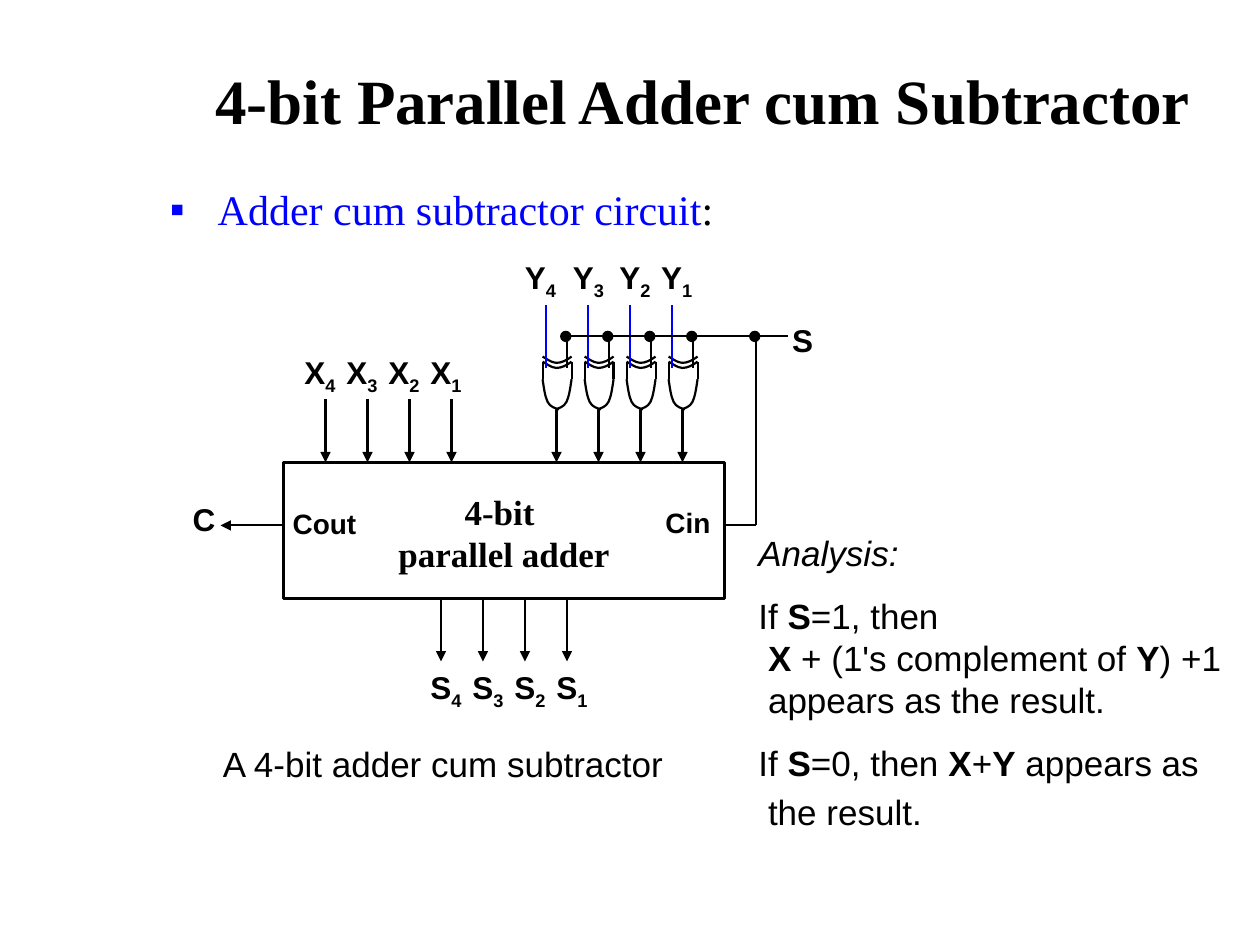
from lxml import etree
from pptx import Presentation
from pptx.dml.color import RGBColor
from pptx.enum.shapes import MSO_CONNECTOR, MSO_SHAPE
from pptx.enum.text import MSO_ANCHOR, PP_ALIGN
from pptx.oxml.ns import qn
from pptx.util import Inches, Pt

LINE = MSO_CONNECTOR.STRAIGHT
RECT, OVAL = MSO_SHAPE.RECTANGLE, MSO_SHAPE.OVAL
LEFT, CENTER = PP_ALIGN.LEFT, PP_ALIGN.CENTER
TOP, MIDDLE = MSO_ANCHOR.TOP, MSO_ANCHOR.MIDDLE
SERIF, SANS = "Times New Roman", "Arial"
COLORS = {"ink": "000000", "blue": "0000FF"}
STEP = 1 / 3  # gap between neighbouring bits
BITS = (4, 3, 2, 1)


def color(name):
    return RGBColor.from_string(COLORS[name])


def add_box(slide, left, top, width, height, anchor=TOP):
    frame = slide.shapes.add_textbox(
        Inches(left), Inches(top), Inches(width), Inches(height)).text_frame
    frame.word_wrap = True
    frame.vertical_anchor = anchor
    return frame


def style(para, size, face=SANS, bold=None, align=LEFT):
    para.alignment = align
    font = para.font
    font.size, font.name, font.bold = Pt(size), face, bold
    font.color.rgb = color("ink")


def add_text(slide, text, left, top, width, height, size,
             face=SANS, bold=None, align=LEFT, anchor=TOP):
    frame = add_box(slide, left, top, width, height, anchor)
    frame.text = text
    for para in frame.paragraphs:
        style(para, size, face, bold, align)


def add_bit(slide, name, bit, left, top, width=0.58):
    """Signal name with its bit number as a subscript."""
    para = add_box(slide, left, top, width, 0.4).paragraphs[0]
    style(para, 18, bold=True, align=CENTER)
    para.add_run().text = name
    sub = para.add_run()
    sub.text = str(bit)
    sub._r.get_or_add_rPr().set("baseline", "-25000")


def add_line(slide, x1, y1, x2, y2, ink="ink", arrow=False):
    wire = slide.shapes.add_connector(
        LINE, Inches(x1), Inches(y1), Inches(x2), Inches(y2))
    wire.line.width = Pt(1.25)
    wire.line.color.rgb = color(ink)
    if arrow:
        etree.SubElement(wire.line._get_or_add_ln(), qn("a:tailEnd"), type="triangle")
    etree.SubElement(wire._element.spPr, qn("a:effectLst"))


def add_shape(slide, kind, left, top, width, height, weight, fill=None):
    shape = slide.shapes.add_shape(
        kind, Inches(left), Inches(top), Inches(width), Inches(height))
    shape.shadow.inherit = False
    shape.line.color.rgb = color("ink")
    shape.line.width = Pt(weight)
    if fill:
        shape.fill.solid()
        shape.fill.fore_color.rgb = color(fill)
    else:
        shape.fill.background()


def bend(curve):
    """Turn each three line segments into one cubic curve."""
    legs = list(curve._element.iter(qn("a:lnTo")))
    outline = legs[0].getparent()
    for k in range(0, len(legs), 3):
        cubic = etree.SubElement(outline, qn("a:cubicBezTo"))
        for leg in legs[k:k + 3]:
            cubic.append(leg[0])
            outline.remove(leg)


def add_curve(slide, x, y, points):
    """Open line through joined cubic curves, with points relative to x, y."""
    nodes = [(Inches(x + dx), Inches(y + dy)) for dx, dy in points]
    build = slide.shapes.build_freeform(*nodes[0])
    build.add_line_segments(nodes[1:], close=False)
    curve = build.convert_to_shape()
    bend(curve)
    curve.shadow.inherit = False
    curve.fill.background()
    curve.line.color.rgb = color("ink")
    curve.line.width = Pt(1.25)


def add_gate(slide, x):
    """XOR gate centred on x."""
    arc = [(0.12, 0), (0.08, 0.03), (0.04, 0.05), (0, 0.05),
           (-0.04, 0.05), (-0.09, 0.01), (-0.11, 0)]
    flank = [(0.12, 0), (0.11, 0.07), (0.1, 0.14), (0.08, 0.18),
             (0.06, 0.22), (0.02, 0.23), (-0.01, 0.24)]
    for y in (2.87, 2.83):
        add_curve(slide, x, y, arc)
    for side in (0.12, -0.11):
        add_line(slide, x + side, 2.87, x + side, 3.01)
    add_curve(slide, x, 3.01, flank)
    add_curve(slide, x, 3.01, [(0.01 - dx, dy) for dx, dy in flank])


def add_dot(slide, x):
    add_shape(slide, OVAL, x - 0.05, 2.63, 0.08, 0.08, 0.75, "ink")


def add_bullet(slide):
    para = add_box(slide, 1.25, 1.41, 8.5, 0.58).paragraphs[0]
    style(para, 24, SERIF)
    head = para.add_run()
    head.text = "Adder cum subtractor circuit"
    head.font.color.rgb = color("blue")
    para.add_run().text = ":"
    props = para._p.get_or_add_pPr()
    props.set("marL", str(Inches(0.38)))
    props.set("indent", str(-Inches(0.38)))
    mark = etree.Element(qn("a:buClr"))
    etree.SubElement(mark, qn("a:srgbClr"), val=COLORS["blue"])
    props.insert(0, mark)
    props.insert(1, etree.Element(qn("a:buFont"), typeface=SANS))
    props.insert(2, etree.Element(qn("a:buChar"), char="▪"))


def add_notes(slide):
    """Analysis text; asterisks switch bold on and off."""
    rows = [("Analysis:", 0), ("If *S*=1, then", 12),
            ("* X *+ (1's complement of *Y*) +1", 0),
            (" appears as the result.", 0),
            ("If *S*=0, then *X*+*Y* appears as", 12), (" the result.", 4)]
    frame = add_box(slide, 5.92, 4.17, 3.92, 2.58)
    for k, (row, gap) in enumerate(rows):
        para = frame.add_paragraph() if k else frame.paragraphs[0]
        style(para, 20)
        para.font.italic = k == 0
        para.space_before = Pt(gap)
        for j, part in enumerate(row.split("*")):
            if part:
                run = para.add_run()
                run.text = part
                if j % 2:
                    run.font.bold = True


def add_adder(slide):
    add_shape(slide, RECT, 2.25, 3.67, 3.5, 1.08, 1.5)
    add_text(slide, "4-bit \nparallel adder", 2.75, 3.84, 2.5, 0.77, 20,
             SERIF, True, CENTER)
    for text, left, top, width, size in (
            ("C", 1.41, 3.92, 0.42, 18), ("S", 6.16, 2.5, 0.42, 18),
            ("Cin", 5.17, 3.96, 0.58, 16), ("Cout", 2.2, 3.97, 0.75, 16)):
        add_text(slide, text, left, top, width, 0.4, size, bold=True, align=CENTER)
    add_line(slide, 2.25, 4.17, 1.75, 4.17, arrow=True)


def add_bits(slide):
    spots = (4.29, 4.67, 5.04, 5.37)  # centres of the Y labels
    for k, (bit, spot) in enumerate(zip(BITS, spots)):
        shift = k * STEP
        inlet = 2.25 + STEP + shift
        gate = 3.75 + 2 * STEP + shift
        feed = 4 + STEP + shift
        add_bit(slide, "X", bit, 2.25 + shift, 2.75)
        add_line(slide, inlet, 3.17, inlet, 3.67, arrow=True)
        add_bit(slide, "S", bit, 3.25 + shift, 5.25)
        add_line(slide, 3.5 + shift, 4.75, 3.5 + shift, 5.25, arrow=True)
        add_bit(slide, "Y", bit, spot - 0.29, 2)
        add_gate(slide, gate)
        add_line(slide, gate, 3.25, gate, 3.67, arrow=True)
        add_line(slide, feed, 2.42, feed, 2.92, "blue")
        add_line(slide, 4.5 + shift, 2.67, 4.5 + shift, 2.92)
        add_dot(slide, 4.5 + shift)


def add_select(slide):
    add_line(slide, 4.5, 2.67, 6.25, 2.67)
    add_dot(slide, 6)
    add_line(slide, 6, 2.67, 6, 4.17)
    add_line(slide, 5.75, 4.17, 6, 4.17)


def main():
    deck = Presentation()
    deck.slide_width, deck.slide_height = Inches(10), Inches(7.5)
    slide = deck.slides.add_slide(deck.slide_layouts[6])
    add_text(slide, "4-bit Parallel Adder cum Subtractor", 1.33, 0.16, 8.5, 1.25,
             36, SERIF, True, CENTER, MIDDLE)
    add_bullet(slide)
    add_notes(slide)
    add_adder(slide)
    add_bits(slide)
    add_select(slide)
    add_text(slide, "A 4-bit adder cum subtractor", 1.67, 5.84, 3.75, 0.43, 20)
    deck.save("out.pptx")


if __name__ == "__main__":
    main()
